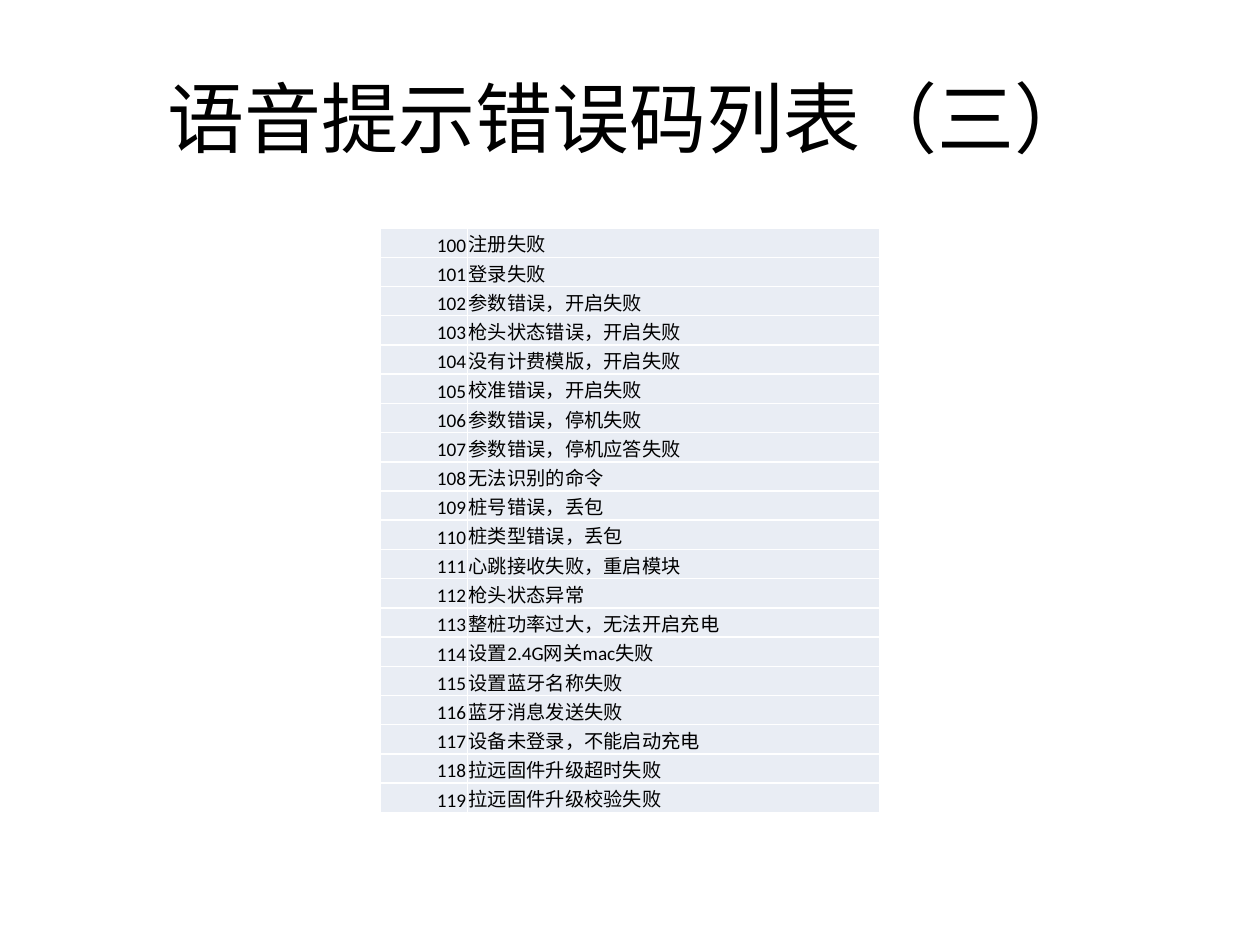
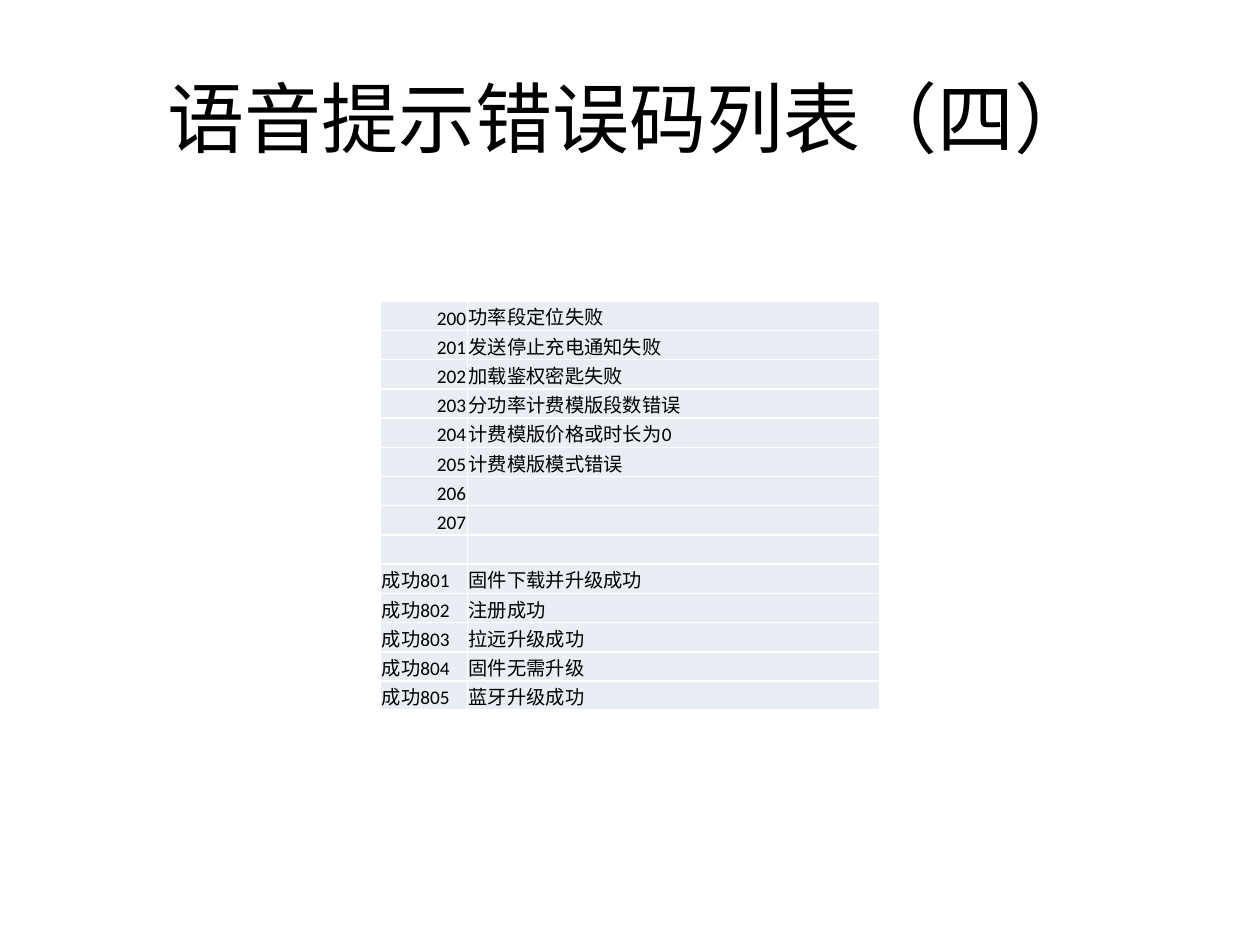
from dataclasses import dataclass

from lxml.etree import SubElement
from pptx import Presentation
from pptx.dml.color import RGBColor as RGB
from pptx.enum.text import MSO_ANCHOR as Anchor, PP_ALIGN as Align
from pptx.oxml.ns import qn
from pptx.util import Inches, Pt

FAULTS = [
    "注册失败", "登录失败", "参数错误，开启失败", "枪头状态错误，开启失败",
    "没有计费模版，开启失败", "校准错误，开启失败", "参数错误，停机失败",
    "参数错误，停机应答失败", "无法识别的命令", "桩号错误，丢包",
    "桩类型错误，丢包", "心跳接收失败，重启模块", "枪头状态异常",
    "整桩功率过大，无法开启充电", "设置2.4G网关mac失败", "设置蓝牙名称失败",
    "蓝牙消息发送失败", "设备未登录，不能启动充电", "拉远固件升级超时失败",
    "拉远固件升级校验失败",
]
BILLING = [
    "功率段定位失败", "发送停止充电通知失败", "加载鉴权密匙失败",
    "分功率计费模版段数错误", "计费模版价格或时长为0", "计费模版模式错误", "", "",
]
SUCCESS = ["固件下载并升级成功", "注册成功", "拉远升级成功", "固件无需升级", "蓝牙升级成功"]


def number(texts, start, mark=""):
    """Pair each text with its code, counting up from start."""
    return [(f"{mark}{code}", text) for code, text in enumerate(texts, start)]


# Title, top of the table, rows
PAGES = [
    ("语音提示错误码列表（三）", Inches(1.81), number(FAULTS, 100)),
    ("语音提示错误码列表（四）", Inches(2.39),
     number(BILLING, 200) + [("", "")] + number(SUCCESS, 801, "成功")),
]


@dataclass(frozen=True)
class Theme:
    font: str = "Calibri"
    ink: str = "000000"
    cell: str = "E9EDF4"
    rule: str = "FFFFFF"
    title: int = 44
    body: int = 11


THEME = Theme()
WIDE, HIGH = Inches(10), Inches(7.5)
COLS = [Inches(0.69), Inches(3.27)]
ROW = Pt(16.72)
PAD = Inches(0.01)


def write(frame, text, size, align=Align.LEFT):
    para = frame.paragraphs[0]
    para.alignment = align
    if not text:
        # Keeps an empty row as low as a filled one
        SubElement(para._p, qn("a:endParaRPr"), sz=str(size * 100))
        return
    run = para.add_run()
    run.text = text
    run.font.name = THEME.font
    run.font.size = Pt(size)
    run.font.color.rgb = RGB.from_string(THEME.ink)


def style(cell):
    """Set the white borders, fill, insets and anchor of a cell."""
    props = cell._tc.get_or_add_tcPr()
    for side in ("lnL", "lnR", "lnT", "lnB"):
        line = SubElement(props, qn(f"a:{side}"), w=str(Pt(1)))
        fill = SubElement(line, qn("a:solidFill"))
        SubElement(fill, qn("a:srgbClr"), val=THEME.rule)
    cell.fill.solid()
    cell.fill.fore_color.rgb = RGB.from_string(THEME.cell)
    cell.margin_left = cell.margin_right = cell.margin_top = PAD
    cell.margin_bottom = 0
    cell.vertical_anchor = Anchor.BOTTOM


def add_title(slide, text):
    box = slide.shapes.add_textbox(Inches(0.5), Inches(0.3), Inches(9), Inches(1.25))
    frame = box.text_frame
    frame.word_wrap = True
    frame.vertical_anchor = Anchor.MIDDLE
    write(frame, text, THEME.title, Align.CENTER)


def add_codes(slide, top, rows):
    """Place the code table midway across the slide."""
    width = sum(COLS)
    table = slide.shapes.add_table(
        len(rows), len(COLS), (WIDE - width) // 2, top, width, ROW * len(rows)).table
    table.first_row = table.horz_banding = False
    for col, size in zip(table.columns, COLS):
        col.width = size
    for line, texts in zip(table.rows, rows):
        line.height = ROW
        for cell, text in zip(line.cells, texts):
            style(cell)
            align = Align.RIGHT if text.isdigit() else Align.LEFT
            write(cell.text_frame, text, THEME.body, align)


def main():
    deck = Presentation()
    deck.slide_width, deck.slide_height = WIDE, HIGH
    for title, top, rows in PAGES:
        slide = deck.slides.add_slide(deck.slide_layouts[6])
        add_title(slide, title)
        add_codes(slide, top, rows)
    deck.save("out.pptx")


if __name__ == "__main__":
    main()
